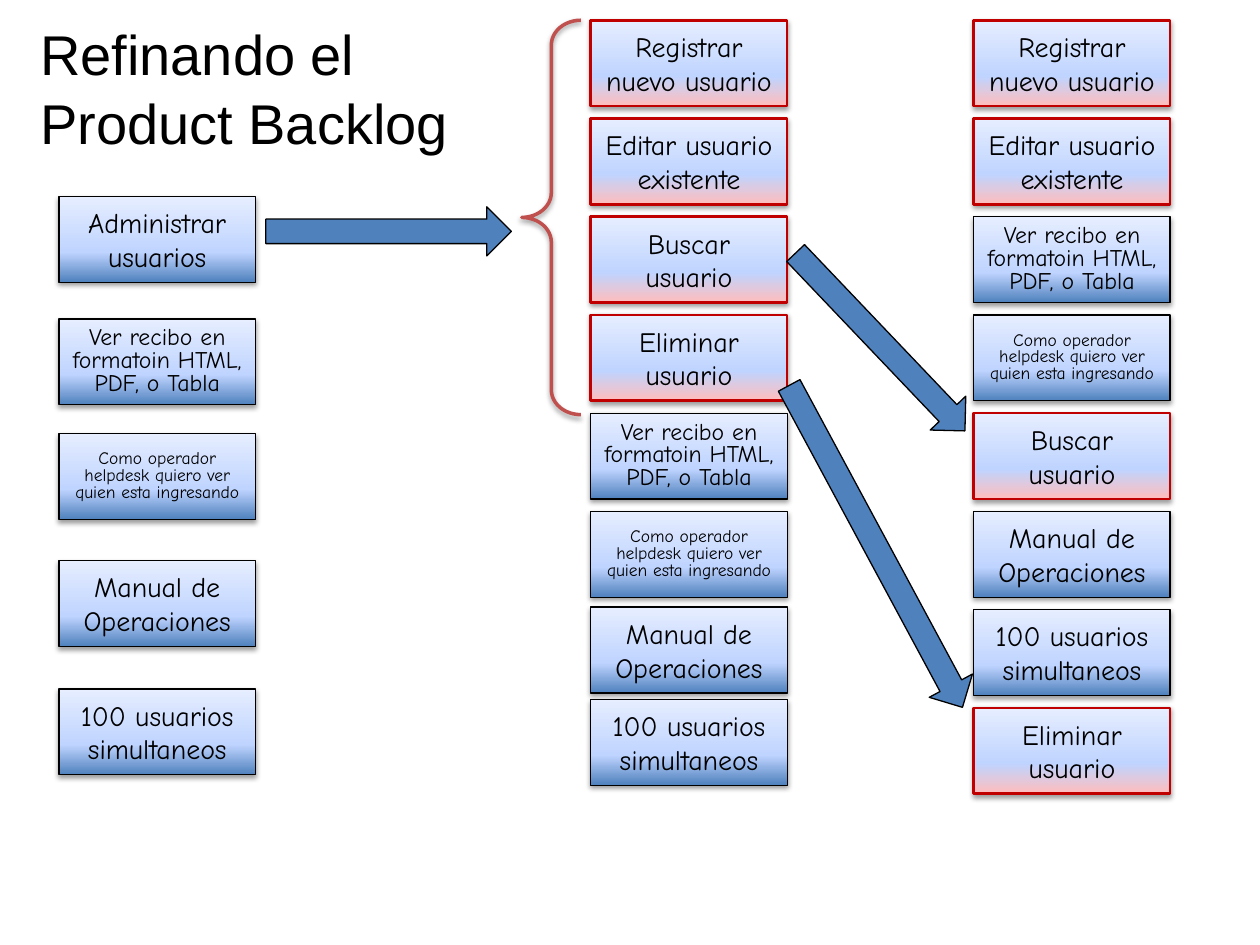
from copy import deepcopy

from lxml.etree import SubElement
from pptx import Presentation
from pptx.dml.color import RGBColor
from pptx.enum.shapes import MSO_SHAPE
from pptx.enum.text import MSO_ANCHOR, PP_ALIGN
from pptx.oxml.ns import qn
from pptx.util import Cm, Pt

BLACK = RGBColor(0x00, 0x00, 0x00)
BLUE = RGBColor(0x4F, 0x81, 0xBD)
PALE_BLUE = RGBColor(0xBF, 0xD4, 0xFF)
ICE = RGBColor(0xE6, 0xEE, 0xFF)
PINK = RGBColor(0xFF, 0xBD, 0xBD)
RED = RGBColor(0xC0, 0x00, 0x00)
BRICK = RGBColor(0xC0, 0x50, 0x4D)

# Story: text, font size, line spacing, whether it was split from the epic
EPIC = ("Administrar\nusuarios", 16, None, False)
REGISTER = ("Registrar nuevo usuario", 16, None, True)
EDIT = ("Editar usuario existente", 16, None, True)
SEARCH = ("Buscar usuario", 16, None, True)
DELETE = ("Eliminar usuario", 16, None, True)
RECEIPT = ("Ver recibo en formatoin HTML, PDF, o Tabla", 13.6, 0.8, False)
HELPDESK = ("Como operador helpdesk quiero ver quien esta ingresando", 10, 0.8, False)
MANUAL = ("Manual de Operaciones", 16, None, False)
LOAD = ("100 usuarios simultaneos", 16, None, False)

TOP, PITCH = 0.41, 1.98


def write(frame, text, *, font, size, align=PP_ALIGN.LEFT, spacing=None):
    frame.word_wrap = True
    frame.vertical_anchor = MSO_ANCHOR.MIDDLE
    frame.text = text
    for paragraph in frame.paragraphs:
        paragraph.alignment = align
        if spacing:
            paragraph.line_spacing = spacing
        paragraph.font.name = font
        paragraph.font.size = Pt(size)
        paragraph.font.color.rgb = BLACK


class BacklogSlide:
    title_font, card_font = "Arial", "Comic Neue"
    card_width, card_height = 3.96, 1.73

    def __init__(self, slide):
        self.slide = slide

    def outline(self, preset, box, color, weight):
        shape = self.slide.shapes.add_shape(preset, *map(Cm, box))
        shape.shadow.inherit = False
        shape.line.color.rgb = color
        shape.line.width = Pt(weight)
        return shape

    def cast_shadow(self, shape):
        effects = shape._element.spPr.find(qn("a:effectLst"))
        shadow = SubElement(effects, qn("a:outerShdw"), blurRad=str(Pt(3.1)),
                            dist=str(Pt(1.6)), dir="5400000", rotWithShape="0")
        color = SubElement(shadow, qn("a:srgbClr"), val=str(BLACK))
        SubElement(color, qn("a:alpha"), val="38000")

    def shade(self, shape, base):
        shape.fill.gradient()
        shape.fill.gradient_angle = 90
        stop_list = shape._element.spPr.find(qn("a:gradFill")).find(qn("a:gsLst"))
        stop_list.append(deepcopy(stop_list[-1]))
        shades = ((0, base), (0.35, PALE_BLUE), (1, ICE))
        for stop, (position, color) in zip(shape.fill.gradient_stops, shades):
            stop.position = position
            stop.color.rgb = color

    def title(self, text, box):
        heading = self.slide.shapes.add_textbox(*map(Cm, box))
        write(heading.text_frame, text, font=self.title_font, size=32, spacing=1.04)

    def card(self, left, top, story):
        text, size, spacing, split = story
        box = (left, top, self.card_width, self.card_height)
        color, weight, base = (RED, 1.5, PINK) if split else (BLACK, 0.75, BLUE)
        card = self.outline(MSO_SHAPE.RECTANGLE, box, color, weight)
        self.shade(card, base)
        self.cast_shadow(card)
        write(card.text_frame, text, font=self.card_font, size=size,
              align=PP_ALIGN.CENTER, spacing=spacing)

    def column(self, left, tops, stories):
        for top, story in zip(tops, stories):
            self.card(left, top, story)

    def brace(self, box):
        brace = self.outline(MSO_SHAPE.LEFT_BRACE, box, BRICK, 2)
        brace.fill.background()
        brace.adjustments[0] = 0.42
        self.cast_shadow(brace)

    def arrow(self, left, top, length, rotation=0):
        arrow = self.outline(MSO_SHAPE.RIGHT_ARROW, (left, top, length, 0.99), BLACK, 0.75)
        arrow.fill.solid()
        arrow.fill.fore_color.rgb = BLUE
        arrow.rotation = rotation


def main():
    deck = Presentation()
    deck.slide_width, deck.slide_height = Cm(25.4), Cm(19.05)
    backlog = BacklogSlide(deck.slides.add_slide(deck.slide_layouts[6]))
    even_tops = [TOP + PITCH * row for row in range(8)]

    backlog.title("Refinando el\vProduct Backlog", (0.56, 0.84, 11.35, 1.8))

    # Initial backlog
    backlog.column(1.19, (3.96, 6.43, 8.74, 11.3, 13.89),
                   (EPIC, RECEIPT, HELPDESK, MANUAL, LOAD))

    # Epic split into stories
    backlog.column(11.91, even_tops[:6] + [12.24, 14.1],
                   (REGISTER, EDIT, SEARCH, DELETE, RECEIPT, HELPDESK, MANUAL, LOAD))
    backlog.brace((10.52, TOP, 1.19, 7.95))

    # Reprioritised backlog
    backlog.column(19.63, even_tops,
                   (REGISTER, EDIT, RECEIPT, HELPDESK, SEARCH, MANUAL, LOAD, DELETE))

    # Moves between the backlogs
    backlog.arrow(5.36, 4.17, 4.95)
    backlog.arrow(15.27, 6.4, 4.95, rotation=46.4)
    backlog.arrow(13.97, 10.52, 7.37, rotation=61.7)

    deck.save("out.pptx")


if __name__ == "__main__":
    main()
